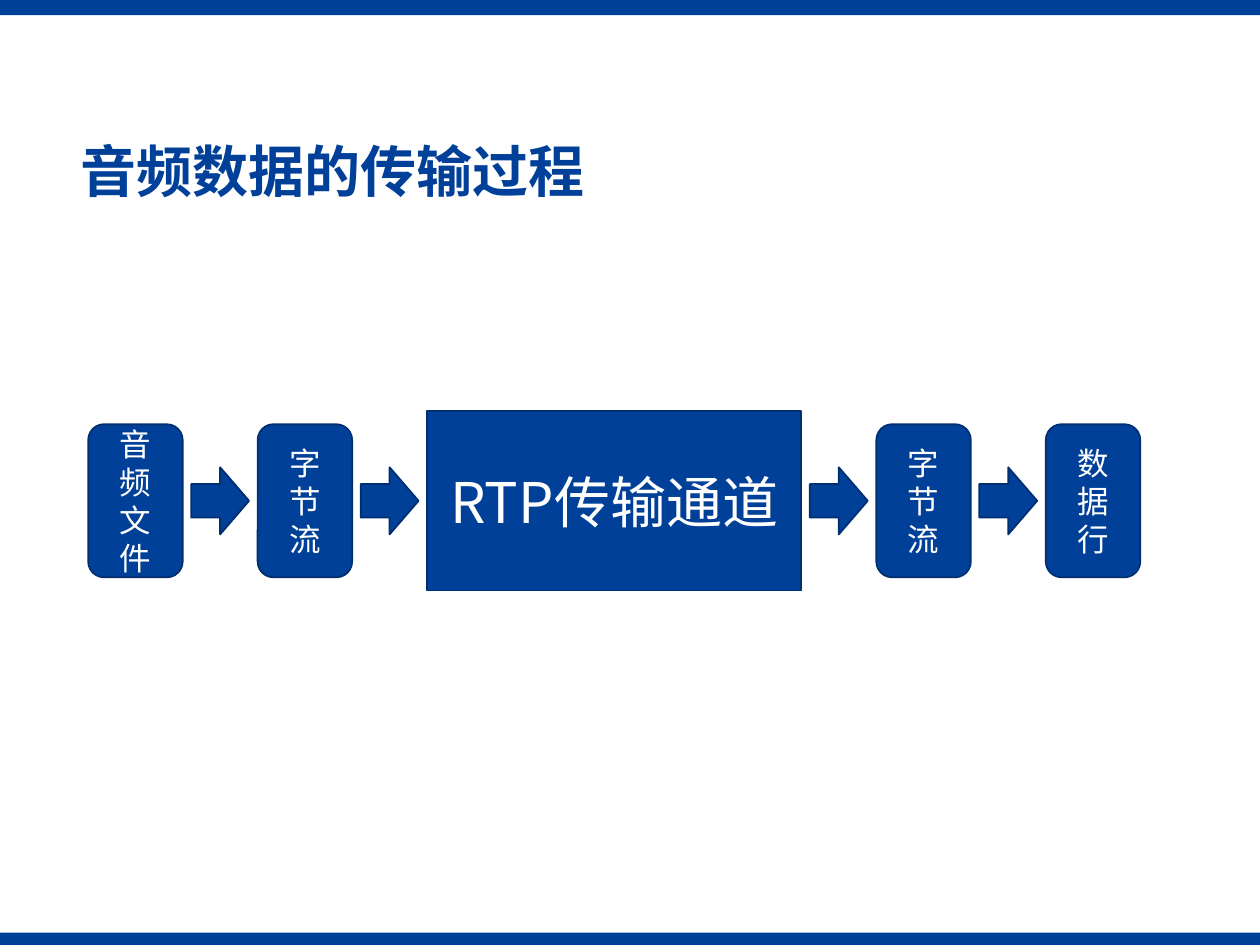
from pptx import Presentation
from pptx.dml.color import RGBColor
from pptx.enum.shapes import MSO_SHAPE as SHAPE
from pptx.enum.text import MSO_ANCHOR as ANCHOR, PP_ALIGN as ALIGN
from pptx.oxml.ns import qn
from pptx.util import Inches, Pt
from lxml import etree

COLORS = {"blue": "004098", "edge": "002F70", "white": "FFFFFF"}
FONT = "Noto Sans CJK SC"

prs = Presentation()
prs.slide_width, prs.slide_height = Inches(10), Inches(7.5)
W, H = prs.slide_width, prs.slide_height
s = prs.slides.add_slide(prs.slide_layouts[6])


def add_block(kind, x, y, w, h, edge=True):
    """Add a blue shape; x, y, w and h are shares of the slide."""
    sp = s.shapes.add_shape(kind, int(x * W), int(y * H), int(w * W), int(h * H))
    sp.shadow.inherit = False
    sp.fill.solid()
    sp.fill.fore_color.rgb = RGBColor.from_string(COLORS["blue"])
    if edge:
        sp.line.color.rgb = RGBColor.from_string(COLORS["edge"])
        sp.line.width = Pt(1)
    else:
        sp.line.fill.background()
    return sp


def write(sp, text, color, align, **font):
    tf = sp.text_frame
    tf.word_wrap = True
    tf.vertical_anchor = ANCHOR.MIDDLE
    p = tf.paragraphs[0]
    p.alignment = align
    r = p.add_run()
    r.text = text
    r.font.color.rgb = RGBColor.from_string(COLORS[color])
    for name, value in {"name": FONT, **font}.items():
        setattr(r.font, name, value)
    ea = etree.SubElement(r.font._element, qn("a:ea"))
    ea.set("typeface", FONT)
    return p


# Bars along the top and bottom edges
add_block(SHAPE.RECTANGLE, 0, 0, 1, 0.016, edge=False)
add_block(SHAPE.RECTANGLE, 0, 0.987, 1, 0.013, edge=False)

# Title
title = s.shapes.add_textbox(int(0.054 * W), int(0.143 * H), int(0.916 * W), int(0.084 * H))
p = write(title, "音频数据的传输过程", "blue", ALIGN.LEFT, size=Pt(32), bold=True)
p.line_spacing = 0.9

# Transmission flow: steps joined by arrows, equal gaps, one centre line
LEFT, RIGHT, MIDDLE = 0.07, 0.905, 0.53
STYLES = {  # shape, width, height, text size
    "step": (SHAPE.ROUNDED_RECTANGLE, 0.075, 0.162, 18),
    "channel": (SHAPE.RECTANGLE, 0.297, 0.19, 32),
    "arrow": (SHAPE.RIGHT_ARROW, 0.046, 0.071, None),
}
steps = [("step", "音频文件"), ("step", "字节流"), ("channel", "RTP传输通道"),
         ("step", "字节流"), ("step", "数据行")]
flow = [steps[0]]
for step in steps[1:]:
    flow += [("arrow", ""), step]

gap = (RIGHT - LEFT - sum(STYLES[style][1] for style, _ in flow)) / (len(flow) - 1)
x = LEFT
for style, text in flow:
    kind, w, h, size = STYLES[style]
    sp = add_block(kind, x, MIDDLE - h / 2, w, h)
    if text:
        write(sp, text, "white", ALIGN.CENTER, size=Pt(size))
    x += w + gap

prs.save("out.pptx")
